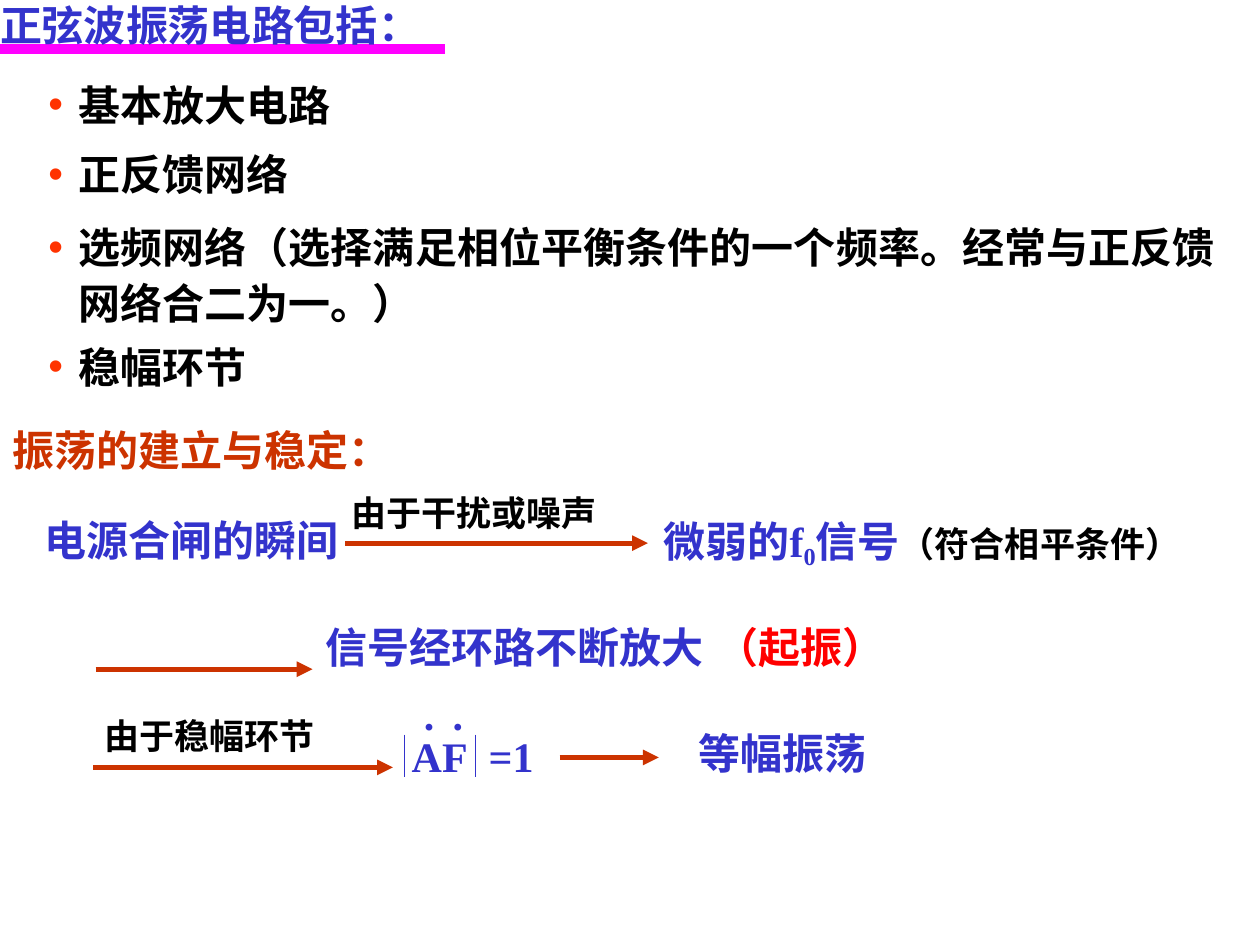
from dataclasses import dataclass

from lxml import etree
from pptx import Presentation
from pptx.dml.color import RGBColor
from pptx.enum import shapes, text
from pptx.oxml import ns
from pptx.util import Cm, Pt

BLUE = RGBColor(0x33, 0x33, 0xCC)
BLACK = RGBColor(0, 0, 0)
RED = RGBColor(0xFF, 0, 0)
RUST = RGBColor(0xCC, 0x33, 0)
PINK = RGBColor(0xFF, 0, 0xFF)
FACE = "Times New Roman"


@dataclass
class Bit:
    words: str
    color: RGBColor = BLUE
    size: int = 24
    base: int = 0
    space: int = 0


@dataclass
class Note:
    x: float
    y: float
    wide: float
    bits: list[Bit]
    wrap: bool = True


@dataclass
class Line:
    x: float
    y: float
    end: float
    low: float
    color: RGBColor = RUST
    width: float = 3
    arrow: bool = True


ITEMS = [
    ("基本放大电路", 0),
    ("正反馈网络", 8),
    ("选频网络（选择满足相位平衡条件的一个频率。经常与正反馈网络合二为一。）", 10),
    ("稳幅环节", 5),
]
NOTES = [
    Note(0, 8.43, 8.41, [Bit("振荡的建立与稳定：", RUST)]),
    Note(0.64, 10.24, 7.04, [Bit("电源合闸的瞬间")]),
    Note(6.83, 9.78, 6.27, [Bit("由于干扰或噪声", BLACK, 20)]),
    Note(13.13, 10.26, 11.33, [
        Bit("微弱的f"), Bit("0", base=-20), Bit("信号"),
        Bit("（符合相平条件）", BLACK, 20),
    ]),
    Note(6.32, 12.4, 8.97, [Bit("信号经环路不断放大")]),
    Note(14.2, 12.4, 5.13, [Bit("（起振）", RED)]),
    Note(1.85, 14.27, 5.28, [Bit("由于稳幅环节", BLACK, 20)]),
    Note(8.05, 14.61, 2.97, [Bit("AF"), Bit(" ", space=6), Bit("=1")], False),
    Note(8.26, 13.97, 0.71, [Bit("·")], False),
    Note(8.84, 13.97, 0.71, [Bit("·")], False),
    Note(13.84, 14.55, 5.21, [Bit("等幅振荡")]),
]
ARROWS = [
    Line(6.96, 10.95, 13.06, 10.95),
    Line(1.93, 13.49, 6.3, 13.49),
    Line(1.88, 15.47, 7.92, 15.47),
    Line(11.28, 15.27, 13.28, 15.27),
]
BARS = [Line(x, 14.81, x, 15.67, BLUE, 0.75, False) for x in (8.15, 9.58)]


def place(shape, x: float, y: float, wide: float, high: float) -> None:
    shape.left, shape.top = Cm(x), Cm(y)
    shape.width, shape.height = Cm(wide), Cm(high)


def write(para, bit: Bit) -> None:
    run = para.add_run()
    run.text = bit.words
    font = run.font
    font.name, font.size, font.bold = FACE, Pt(bit.size), True
    font.color.rgb = bit.color
    props = run._r.get_or_add_rPr()
    if bit.base:
        props.set("baseline", str(bit.base * 1000))
    if bit.space:
        props.set("spc", str(bit.space * 100))


def bullet(para) -> None:
    props = para._p.get_or_add_pPr()
    props.set("marL", str(Cm(0.6)))
    props.set("indent", str(Cm(-0.6)))
    color = etree.SubElement(props, ns.qn("a:buClr"))
    etree.SubElement(color, ns.qn("a:srgbClr"), val="FF3300")
    etree.SubElement(props, ns.qn("a:buChar"), char="•")


def draw_line(slide, line: Line):
    shape = slide.shapes.add_connector(
        shapes.MSO_CONNECTOR.STRAIGHT,
        Cm(line.x), Cm(line.y), Cm(line.end), Cm(line.low))
    shape.line.color.rgb = line.color
    shape.line.width = Pt(line.width)
    if line.arrow:
        stroke = shape.element.spPr.find(ns.qn("a:ln"))
        etree.SubElement(stroke, ns.qn("a:tailEnd"), type="triangle")
    etree.SubElement(shape.element.spPr, ns.qn("a:effectLst"))
    return shape


def draw_note(slide, note: Note) -> None:
    high = 1.27 if note.bits[0].size == 24 else 1.09
    box = slide.shapes.add_textbox(
        Cm(note.x), Cm(note.y), Cm(note.wide), Cm(high))
    frame = box.text_frame
    frame.word_wrap = note.wrap
    for bit in note.bits:
        write(frame.paragraphs[0], bit)


def draw_title(slide) -> None:
    title = slide.shapes.title
    place(title, 0, 0, 9.53, 1.14)
    frame = title.text_frame
    frame.auto_size = text.MSO_AUTO_SIZE.NONE
    frame.vertical_anchor = text.MSO_ANCHOR.MIDDLE
    frame.margin_left = frame.margin_top = frame.margin_right = 0
    frame.margin_bottom = Cm(0.13)
    para = frame.paragraphs[0]
    para.alignment = text.PP_ALIGN.LEFT
    write(para, Bit("正弦波振荡电路包括："))
    rule = draw_line(slide, Line(0, 0.99, 8.97, 0.99, PINK, 6, False))
    title.element.addprevious(rule.element)


def draw_list(slide) -> None:
    body = slide.placeholders[1]
    place(body, 0.72, 1.37, 24.03, 6.7)
    frame = body.text_frame
    frame.auto_size = text.MSO_AUTO_SIZE.NONE
    for i, (words, gap) in enumerate(ITEMS):
        para = frame.add_paragraph() if i else frame.paragraphs[0]
        para.alignment = text.PP_ALIGN.JUSTIFY
        para.line_spacing = 1.1
        para.space_before = Pt(gap)
        bullet(para)
        write(para, Bit(words, BLACK))


def main() -> None:
    deck = Presentation()
    deck.slide_width, deck.slide_height = Cm(25.4), Cm(19.05)
    slide = deck.slides.add_slide(deck.slide_layouts[1])
    draw_title(slide)
    draw_list(slide)
    for line in ARROWS + BARS:
        draw_line(slide, line)
    for note in NOTES:
        draw_note(slide, note)
    deck.save("out.pptx")


if __name__ == "__main__":
    main()
